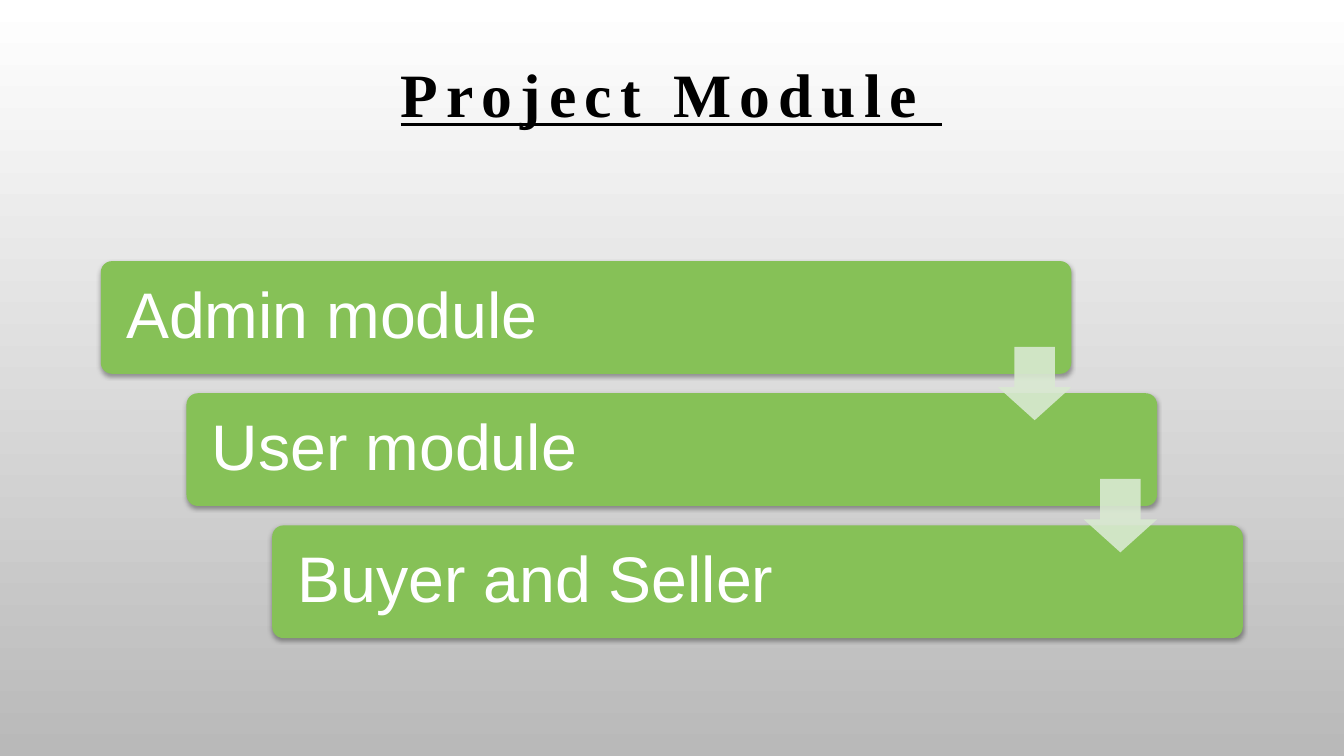
from dataclasses import dataclass
from lxml import etree
from pptx import Presentation
from pptx.dml.color import RGBColor
from pptx.enum import shapes as es, text as et
from pptx.oxml import ns
from pptx.util import Cm, Pt

BLACK = RGBColor(0x00, 0x00, 0x00)
WHITE = RGBColor(0xFF, 0xFF, 0xFF)
GRAY = RGBColor(0xB9, 0xB9, 0xB9)
GREEN = RGBColor(0x86, 0xC1, 0x57)
PALE = RGBColor(0xD9, 0xE9, 0xD1)
STEP_X, STEP_Y = 2.16, 3.33


@dataclass
class Step:
    label: str
    row: int
    arrow: bool


STEPS = [
    Step("Admin module", 0, True),
    Step("User module", 1, True),
    Step("Buyer and Seller", 2, False),
]


def write(frame, label: str, face: str, size: int, color: RGBColor, align):
    frame.text = label
    frame.word_wrap = True
    para = frame.paragraphs[0]
    para.alignment = align
    para.line_spacing = 0.9
    font = para.runs[0].font
    font.name, font.size = face, Pt(size)
    font.color.rgb = color
    return font


def add_form(slide, kind, box: tuple, adjs: tuple, color: RGBColor):
    form = slide.shapes.add_shape(kind, *(Cm(n) for n in box))
    for i, val in enumerate(adjs):
        form.adjustments[i] = val
    form.fill.solid()
    form.fill.fore_color.rgb = color
    form.line.fill.background()
    form.shadow.inherit = False
    return form


def set_alpha(color, percent: int) -> None:
    etree.SubElement(color, ns.qn("a:alpha"), val=str(percent * 1000))


def add_bar(slide, step: Step) -> None:
    box = (2.54 + step.row * STEP_X, 6.58 + step.row * STEP_Y, 24.46, 2.84)
    bar = add_form(slide, es.MSO_SHAPE.ROUNDED_RECTANGLE, box, (0.1,), GREEN)
    effects = bar._element.spPr.find(ns.qn("a:effectLst"))
    shadow = etree.SubElement(
        effects, ns.qn("a:outerShdw"), blurRad=str(Pt(3.1)),
        dist=str(Pt(1.8)), dir="5400000", algn="ctr", rotWithShape="0")
    set_alpha(etree.SubElement(shadow, ns.qn("a:srgbClr"), val=str(BLACK)), 35)
    frame = bar.text_frame
    write(frame, step.label, "Arial", 46, WHITE, et.PP_ALIGN.LEFT)
    frame.vertical_anchor = et.MSO_ANCHOR.MIDDLE
    frame.margin_left = Cm(0.56)


def add_arrow(slide, step: Step) -> None:
    box = (25.15 + step.row * STEP_X, 8.74 + step.row * STEP_Y, 1.85, 1.85)
    arrow = add_form(slide, es.MSO_SHAPE.DOWN_ARROW, box, (0.55, 0.45), PALE)
    color = arrow._element.spPr.find(ns.qn("a:solidFill"))[0]
    set_alpha(color, 90)


def add_title(slide) -> None:
    title = slide.shapes.title
    title.left, title.top = Cm(2.31), Cm(1.5)
    title.width, title.height = Cm(29.21), Cm(3.68)
    frame = title.text_frame
    font = write(frame, "Project Module ", "Times New Roman", 44, BLACK,
                 et.PP_ALIGN.CENTER)
    frame.vertical_anchor = et.MSO_ANCHOR.TOP
    font.bold = font.underline = True
    frame.paragraphs[0].runs[0]._r.get_or_add_rPr().set("spc", "600")


def paint(slide) -> None:
    fill = slide.background.fill
    fill.gradient()
    fill.gradient_angle = 270
    for stop, place, color in zip(fill.gradient_stops, (0, 1), (WHITE, GRAY)):
        stop.position = place
        stop.color.rgb = color


def main() -> None:
    deck = Presentation()
    deck.slide_width, deck.slide_height = Cm(33.87), Cm(19.05)
    slide = deck.slides.add_slide(deck.slide_layouts[5])
    paint(slide)
    add_title(slide)
    for step in STEPS:
        add_bar(slide, step)
    for step in STEPS:
        if step.arrow:
            add_arrow(slide, step)
    deck.save("out.pptx")


if __name__ == "__main__":
    main()
